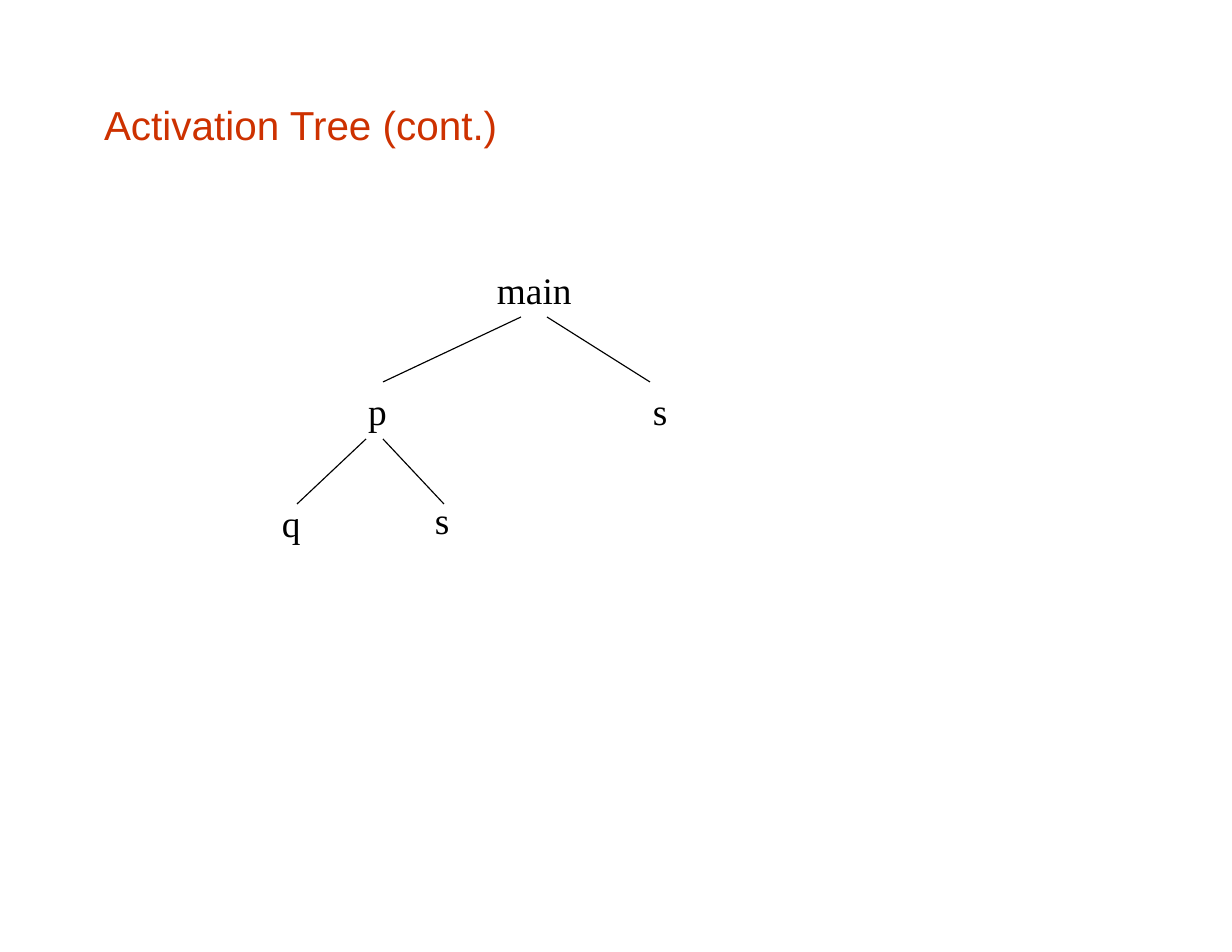
from pptx import Presentation
from pptx.dml.color import RGBColor
from pptx.enum.shapes import MSO_CONNECTOR as Connector
from pptx.enum.text import MSO_ANCHOR as Anchor, PP_ALIGN as Align
from pptx.oxml.ns import qn
from pptx.util import Pt
from lxml.etree import SubElement

PX = 914400 // 112
BLACK = RGBColor(0x00, 0x00, 0x00)
RED = RGBColor(0xCD, 0x31, 0x00)

NODE_HEIGHT = 47
BRANCH_HEIGHT = 65
NODES = [
    ("main", 496, 265, 77),
    ("p", 367, 386, 22),
    ("s", 652, 386, 18),
    ("q", 281, 498, 22),
    ("s", 434, 495, 18),
]
BRANCHES = [
    (521, 317, 383),
    (547, 317, 650),
    (366, 439, 297),
    (383, 439, 444),
]


def px(*lengths):
    return [length * PX for length in lengths]


def write_text(box, text, size, font, color):
    frame = box.text_frame
    frame.word_wrap = True
    frame.vertical_anchor = Anchor.BOTTOM
    frame.margin_left = PX
    frame.margin_top = frame.margin_right = frame.margin_bottom = 0
    para = frame.paragraphs[0]
    para.alignment = Align.LEFT
    span = para.add_run()
    span.text = text
    span.font.size = Pt(size)
    span.font.name = font
    span.font.color.rgb = color


def add_title(page, text):
    title = page.shapes.title
    title.left, title.top, title.width, title.height = px(103, 97, 1026, 52)
    write_text(title, text, size=26, font="Arial", color=RED)


def add_branch(page, start_x, top, end_x):
    ends = px(start_x, top, end_x, top + BRANCH_HEIGHT)
    branch = page.shapes.add_connector(Connector.STRAIGHT, *ends)
    branch.line.color.rgb = BLACK
    branch.line.width = Pt(0.75)
    SubElement(branch._element.spPr, qn("a:effectLst"))


def add_node(page, name, left, top, width):
    box = page.shapes.add_textbox(*px(left, top, width, NODE_HEIGHT))
    write_text(box, name, size=24, font="Times New Roman", color=BLACK)


def main():
    deck = Presentation()
    deck.slide_width, deck.slide_height = px(1232, 952)
    page = deck.slides.add_slide(deck.slide_layouts[5])
    add_title(page, "Activation Tree (cont.)")
    for branch in BRANCHES:
        add_branch(page, *branch)
    for node in NODES:
        add_node(page, *node)
    deck.save("out.pptx")


if __name__ == "__main__":
    main()
